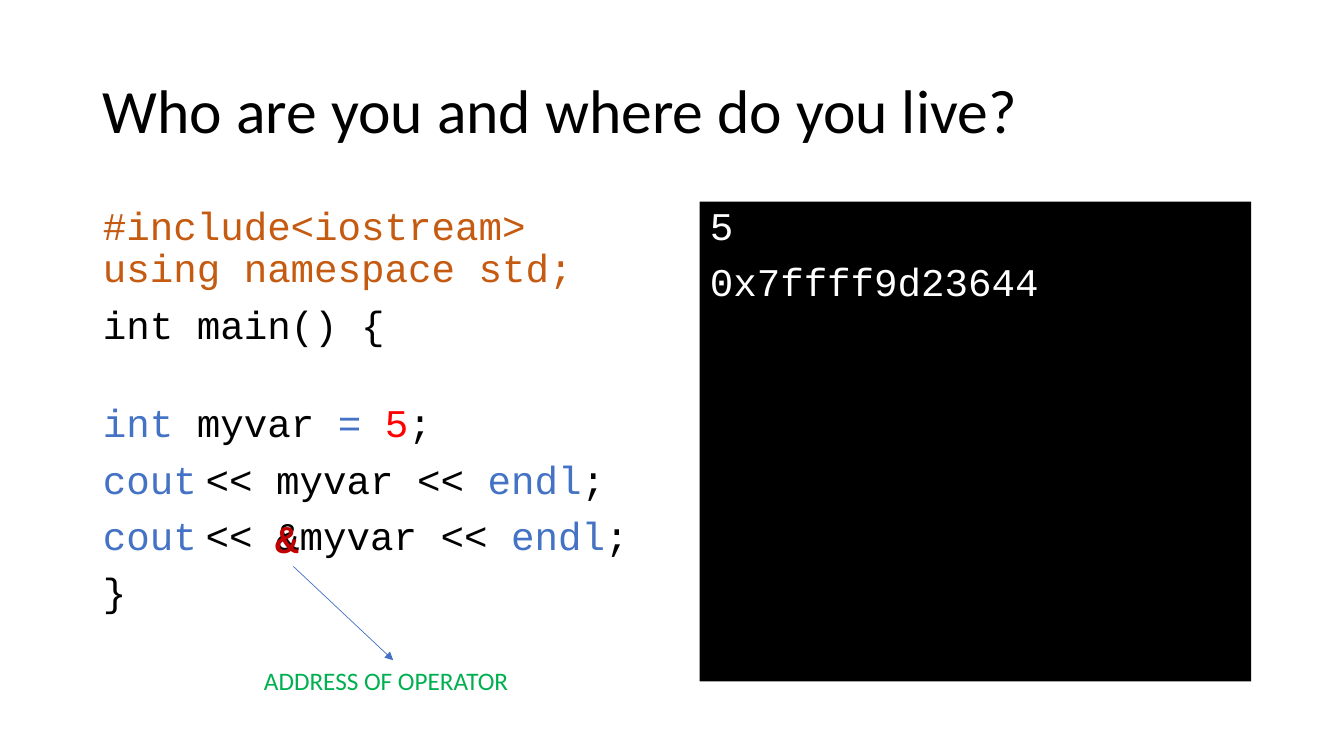
from lxml import etree
from pptx import Presentation
from pptx import util as u
from pptx.dml.color import RGBColor
from pptx.enum import shapes, text
from pptx.oxml.ns import qn

COLORS = {
    "black": "000000", "white": "FFFFFF", "directive": "C55A11",
    "keyword": "4472C4", "number": "FF0000", "operator": "C00000",
    "note": "00B050",
}
CODE_FONT = "Courier New"
COUT = [("cout", "keyword"), (" ", "keyword", "Calibri")]
ENDL = [("endl", "keyword"), (";", "black")]
CODE = [
    [("#include<iostream>\nusing namespace std;", "directive")],
    [("int main() {", "black")],
    [("\nint ", "keyword"), ("myvar ", "black"), ("= ", "keyword"),
     ("5", "number"), (";", "black")],
    COUT + [("<< myvar << ", "black")] + ENDL,
    COUT + [("<< &myvar << ", "black")] + ENDL,
    [("}", "black")],
]
OUTPUT = [[("5", "white")], [("0x7ffff9d23644", "white")]]


def rgb(name):
    """Return the named colour."""
    return RGBColor.from_string(COLORS[name])


def place(shape, box):
    """Move a shape to a box of left, top, width and height in inches."""
    shape.left, shape.top, shape.width, shape.height = map(u.Inches, box)


def add_text(paragraph, content, color="black", font="Calibri", size=28, bold=False):
    """Add formatted text, turning newlines into line breaks."""
    for index, line in enumerate(content.split("\n")):
        if index:
            paragraph.add_line_break()
        if line:
            run = paragraph.add_run()
            run.text = line
            run.font.name = font
            run.font.size = u.Pt(size)
            run.font.bold = bold
            run.font.color.rgb = rgb(color)


def add_title(slide, box):
    """Fill the title placeholder."""
    title = slide.shapes.title
    place(title, box)
    frame = title.text_frame
    frame.auto_size = text.MSO_AUTO_SIZE.NONE
    frame.vertical_anchor = text.MSO_ANCHOR.MIDDLE
    paragraph = frame.paragraphs[0]
    paragraph.alignment = text.PP_ALIGN.LEFT
    paragraph.line_spacing = 0.9
    add_text(paragraph, "Who are you and where do you live?", size=44)


def add_listing(placeholder, box, lines, fill=None):
    """Fill a body placeholder with unbulleted lines of coloured code."""
    place(placeholder, box)
    if fill:
        placeholder.fill.solid()
        placeholder.fill.fore_color.rgb = rgb(fill)
    frame = placeholder.text_frame
    frame.auto_size = text.MSO_AUTO_SIZE.NONE
    for index, line in enumerate(lines):
        paragraph = frame.add_paragraph() if index else frame.paragraphs[0]
        paragraph.line_spacing = 0.9
        paragraph.space_before = u.Pt(10)
        properties = paragraph._p.get_or_add_pPr()
        properties.set("marL", "0")
        properties.set("indent", "0")
        etree.SubElement(properties, qn("a:buNone"))
        for content, color, *font in line:
            add_text(paragraph, content, color=color, font=font[0] if font else CODE_FONT)


def add_label(slide, box, content, **style):
    """Add a text box with one line of text."""
    label = slide.shapes.add_textbox(*map(u.Inches, box))
    label.text_frame.word_wrap = True
    add_text(label.text_frame.paragraphs[0], content, **style)


def add_arrow(slide, start, end):
    """Draw a thin arrow between two points in inches."""
    points = map(u.Inches, (*start, *end))
    arrow = slide.shapes.add_connector(shapes.MSO_CONNECTOR.STRAIGHT, *points)
    arrow.line.color.rgb = rgb("keyword")
    arrow.line.width = u.Pt(0.5)
    etree.SubElement(arrow.line._get_or_add_ln(), qn("a:tailEnd"), type="triangle")
    etree.SubElement(arrow._element.spPr, qn("a:effectLst"))


def add_operator_note(slide, left, top):
    """Highlight the ampersand and point from it to its meaning."""
    add_label(slide, (left + 0.11, top, 0.56, 0.57), "&",
              color="operator", font=CODE_FONT, bold=True)
    add_label(slide, (left, top + 1.5, 2.77, 0.4), "ADDRESS OF OPERATOR",
              color="note", size=18)
    add_arrow(slide, (left + 0.39, top + 0.57), (left + 1.38, top + 1.5))


def build_code_slide(presentation):
    """Build the slide with a program beside its output."""
    slide = presentation.slides.add_slide(presentation.slide_layouts[3])
    left, top, width, height, gap = 0.92, 2, 5.47, 4.76, 0.55
    add_title(slide, (left, 0.4, 11.5, 1.45))
    add_listing(slide.placeholders[1], (left, top, width, height), CODE)
    add_listing(slide.placeholders[2], (left + width + gap, top, width, height),
                OUTPUT, fill="black")
    add_operator_note(slide, left + 1.6, top + 3.05)


presentation = Presentation()
presentation.slide_width = u.Inches(13.33)
presentation.slide_height = u.Inches(7.5)
build_code_slide(presentation)
presentation.save("out.pptx")
